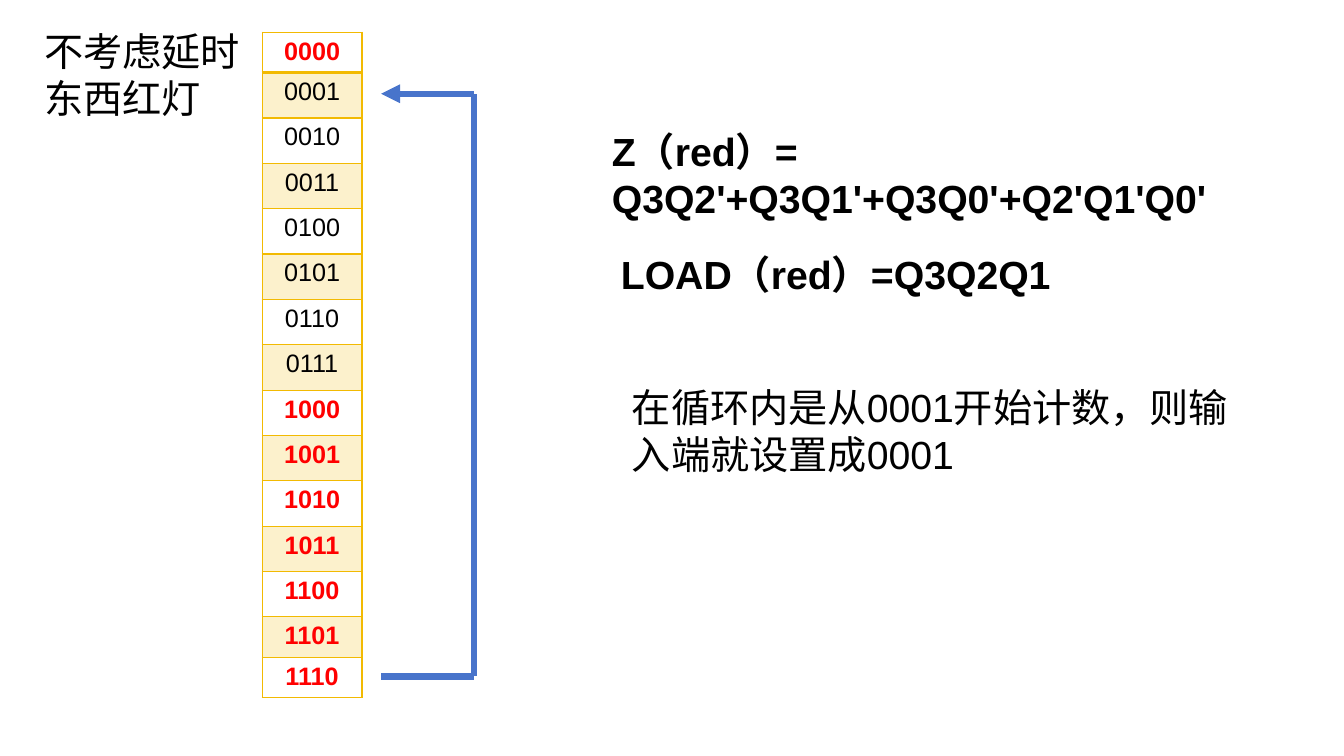
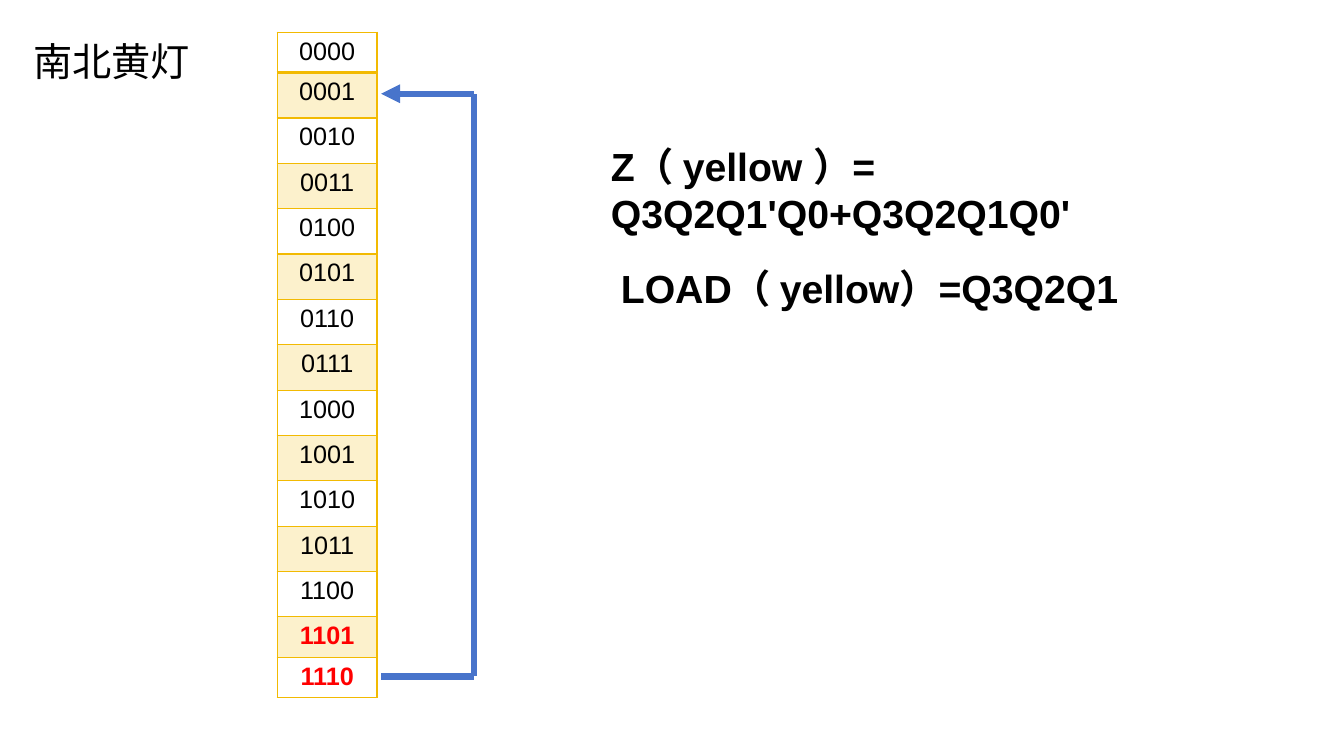
from dataclasses import dataclass

from lxml import etree
from pptx import Presentation
from pptx import util as u
from pptx.dml.color import RGBColor
from pptx.enum import shapes, text
from pptx.oxml.ns import qn
from pptx.slide import Slide
from pptx.table import _Cell
from pptx.text.text import _Paragraph

FONT = "Arial"
BLACK, RED, GOLD, PALE_GOLD, BLUE = "000000", "FF0000", "F2BA02", "FCF1CC", "4874CB"
STATES = [f"{number:04b}" for number in range(15)]
TABLE_TOP, TABLE_WIDTH = 0.32, 0.99
TALL_ROW, SHORT_ROW = 0.45, 0.4
SHORT_ROWS = {0, 13, 14}
LOOP_POINTS = [(3.78, 6.71), (4.7, 6.71), (4.7, 0.93), (3.78, 0.93)]


@dataclass(frozen=True)
class Note:
    left: float
    top: float
    width: float
    height: float
    lines: tuple[str, ...]
    bold: bool = False


@dataclass(frozen=True)
class LightSlide:
    table_left: float
    lit_states: frozenset[int]
    notes: tuple[Note, ...]


LIGHT_SLIDES = (
    LightSlide(2.6, frozenset({0, *range(8, 15)}), (
        Note(0.34, 0.22, 2.26, 1.04, ("不考虑延时", "东西红灯")),
        Note(5.97, 1.21, 6.67, 1.04, ("Z（red）= Q3Q2'+Q3Q1'+Q3Q0'+Q2'Q1'Q0'",), True),
        Note(6.06, 2.43, 6.67, 0.57, ("LOAD（red）=Q3Q2Q1",), True),
        Note(6.17, 3.75, 6.47, 1.04, ("在循环内是从0001开始计数，则输入端就设置成0001",)),
    )),
    LightSlide(2.75, frozenset({13, 14}), (
        Note(0.23, 0.32, 1.8, 0.57, ("南北黄灯",)),
        Note(5.96, 1.36, 6.79, 1.04, ("Z（ yellow ）= Q3Q2Q1'Q0+Q3Q2Q1Q0'",), True),
        Note(6.06, 2.57, 5.47, 0.57, ("LOAD（ yellow）=Q3Q2Q1",), True),
    )),
)


def color(value: str) -> RGBColor:
    return RGBColor.from_string(value)


def format_runs(paragraph: _Paragraph, size: float, value: str, bold: bool) -> None:
    for run in paragraph.runs:
        run.font.name = FONT
        run.font.size = u.Pt(size)
        run.font.bold = bold
        run.font.color.rgb = color(value)


def add_note(slide: Slide, note: Note) -> None:
    box = slide.shapes.add_textbox(
        *map(u.Inches, (note.left, note.top, note.width, note.height)))
    frame = box.text_frame
    frame.word_wrap = True
    frame.auto_size = text.MSO_AUTO_SIZE.SHAPE_TO_FIT_TEXT
    frame.text = "\n".join(note.lines)
    for paragraph in frame.paragraphs:
        format_runs(paragraph, 28, BLACK, note.bold)


def set_borders(cell: _Cell, top: float, bottom: float) -> None:
    """Draw gold borders; they must come before the fill in the cell properties."""
    properties = cell._tc.get_or_add_tcPr()
    widths = {"a:lnL": 1, "a:lnR": 1, "a:lnT": top, "a:lnB": bottom}
    for position, (tag, width) in enumerate(widths.items()):
        line = etree.Element(qn(tag), w=str(u.Pt(width)))
        fill = etree.SubElement(line, qn("a:solidFill"))
        etree.SubElement(fill, qn("a:srgbClr"), val=GOLD)
        properties.insert(position, line)


def add_state_table(slide: Slide, left: float, lit_states: frozenset[int]) -> None:
    heights = [SHORT_ROW if row in SHORT_ROWS else TALL_ROW for row in range(len(STATES))]
    table = slide.shapes.add_table(
        len(STATES), 1, u.Inches(left), u.Inches(TABLE_TOP),
        u.Inches(TABLE_WIDTH), u.Inches(sum(heights))).table
    table.first_row = table.horz_banding = False
    for row, (state, height) in enumerate(zip(STATES, heights)):
        table.rows[row].height = u.Inches(height)
        cell = table.cell(row, 0)
        if row % 2:
            cell.fill.solid()
            cell.fill.fore_color.rgb = color(PALE_GOLD)
        else:
            cell.fill.background()
        set_borders(cell, top=2 if row == 1 else 1, bottom=2 if row == 0 else 1)
        cell.text_frame.text = state
        paragraph = cell.text_frame.paragraphs[0]
        paragraph.alignment = text.PP_ALIGN.CENTER
        lit = row in lit_states
        format_runs(paragraph, 18, RED if lit else BLACK, lit)


def add_loop_arrow(slide: Slide) -> None:
    """Lead from the last state back to 0001."""
    for start, end in zip(LOOP_POINTS, LOOP_POINTS[1:]):
        connector = slide.shapes.add_connector(
            shapes.MSO_CONNECTOR.STRAIGHT, *map(u.Inches, (*start, *end)))
        connector.line.color.rgb = color(BLUE)
        connector.line.width = u.Pt(4.5)
        etree.SubElement(connector._element.spPr, qn("a:effectLst"))
    etree.SubElement(connector.line._get_or_add_ln(), qn("a:tailEnd"), type="triangle")


def main() -> None:
    presentation = Presentation()
    presentation.slide_width = u.Inches(13.33)
    presentation.slide_height = u.Inches(7.5)
    for light in LIGHT_SLIDES:
        slide = presentation.slides.add_slide(presentation.slide_layouts[6])
        add_state_table(slide, light.table_left, light.lit_states)
        add_loop_arrow(slide)
        for note in light.notes:
            add_note(slide, note)
    presentation.save("out.pptx")


if __name__ == "__main__":
    main()
